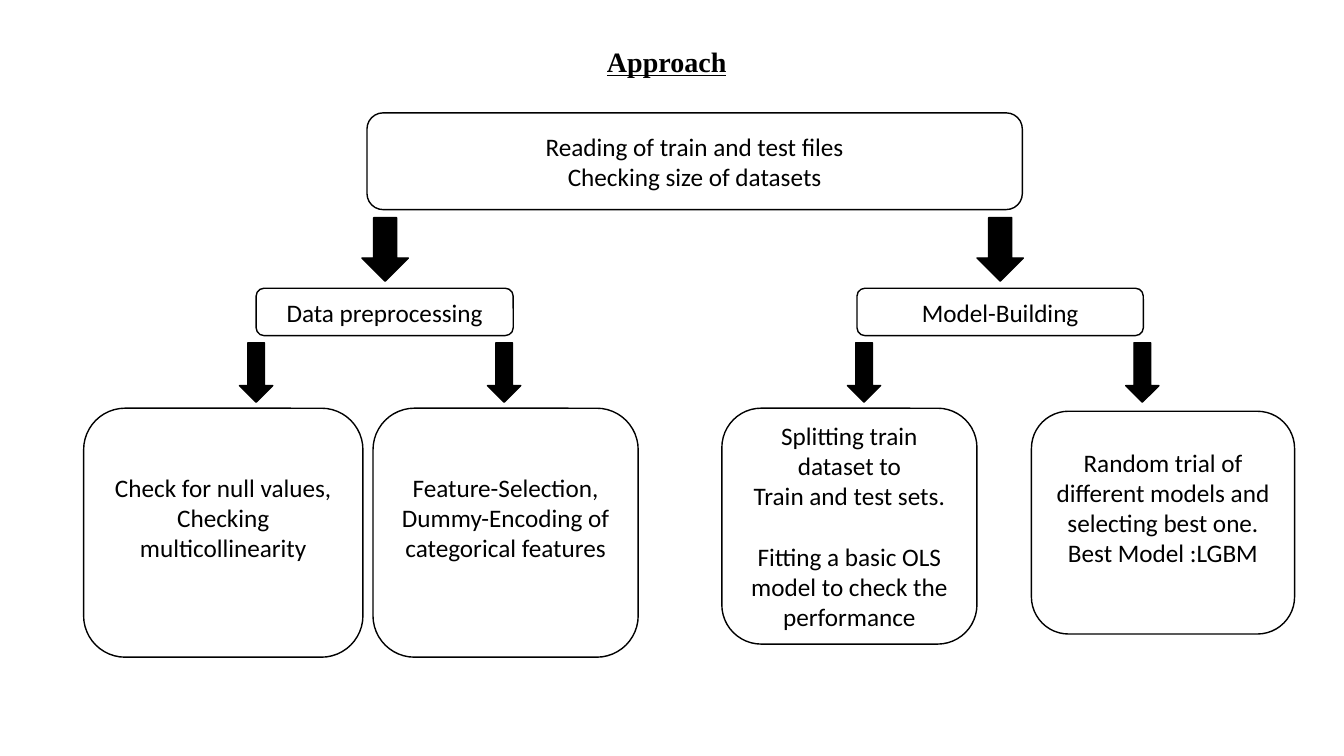
"""Build the Approach slide: a flow from reading files down to four tasks."""
from dataclasses import dataclass

from pptx import Presentation
from pptx.dml.color import RGBColor
from pptx.enum.shapes import MSO_SHAPE as SHAPE
from pptx.enum.text import MSO_ANCHOR as ANCHOR, PP_ALIGN as ALIGN
from pptx.util import Inches, Pt

BLACK, WHITE = "000000", "FFFFFF"
LINE_HEIGHT = 0.3


@dataclass
class Box:
    left: float
    top: float
    width: float
    height: float
    lines: tuple[str, ...]
    gap_before: int | None = None
    raised: bool = False


@dataclass
class Arrow:
    center: float
    top: float
    width: float
    height: float


BOXES = [
    Box(3.64, 1.12, 6.5, 0.96,
        ("Reading of train and test files", "Checking size of datasets")),
    Box(2.54, 2.86, 2.55, 0.47, ("Data preprocessing",)),
    Box(8.5, 2.86, 2.84, 0.47, ("Model-Building",)),
    Box(0.83, 4.05, 2.77, 2.47,
        ("Check for null values,", "Checking multicollinearity"), raised=True),
    Box(3.7, 4.05, 2.63, 2.47,
        ("Feature-Selection,", "Dummy-Encoding of categorical features"), raised=True),
    Box(7.16, 4.05, 2.53, 2.34,
        ("Splitting train dataset to", "Train and test sets.",
         "Fitting a basic OLS model to check the performance"), gap_before=2),
    Box(10.23, 4.08, 2.61, 2.21,
        ("Random trial of different models and selecting best one.",
         "Best Model :LGBM"), raised=True),
]
ARROWS = [Arrow(x, 2.16, 0.46, 0.63) for x in (3.82, 9.92)]
ARROWS += [Arrow(x, 3.4, 0.33, 0.59) for x in (2.54, 5.0, 8.57, 11.33)]


def color(value: str) -> RGBColor:
    return RGBColor.from_string(value)


def write(p, text: str, *, size: int = 18, font: str = "Calibri", bold: bool = False,
          underline: bool = False, align=ALIGN.CENTER, before: float = 0) -> None:
    p.alignment = align
    p.space_before = Pt(before)
    r = p.add_run()
    r.text = text
    r.font.name, r.font.size = font, Pt(size)
    r.font.bold, r.font.underline = bold, underline
    r.font.color.rgb = color(BLACK)


def add_outlined(s, kind, left: float, top: float, width: float, height: float, fill: str):
    sp = s.shapes.add_shape(kind, *map(Inches, (left, top, width, height)))
    sp.shadow.inherit = False
    sp.fill.solid()
    sp.fill.fore_color.rgb = color(fill)
    sp.line.color.rgb = color(BLACK)
    sp.line.width = Pt(1)
    return sp


def draw_box(s, box: Box) -> None:
    sp = add_outlined(s, SHAPE.ROUNDED_RECTANGLE, box.left, box.top,
                      box.width, box.height, WHITE)
    tf = sp.text_frame
    tf.word_wrap = True
    tf.vertical_anchor = ANCHOR.MIDDLE
    if box.raised:
        tf.margin_bottom = Inches(0.05 + LINE_HEIGHT)
    for i, line in enumerate(box.lines):
        p = tf.add_paragraph() if i else tf.paragraphs[0]
        write(p, line, before=LINE_HEIGHT * 72 if i == box.gap_before else 0)


def draw_arrow(s, arrow: Arrow) -> None:
    add_outlined(s, SHAPE.DOWN_ARROW, arrow.center - arrow.width / 2, arrow.top,
                 arrow.width, arrow.height, BLACK)


def draw_title(s, text: str) -> None:
    sp = s.shapes.title
    sp.left, sp.top, sp.width, sp.height = map(Inches, (5.92, 0.39, 7.4, 0.44))
    tf = sp.text_frame
    tf.word_wrap = True
    tf.vertical_anchor = ANCHOR.TOP
    write(tf.paragraphs[0], text, size=20, font="Times New Roman", bold=True,
          underline=True, align=ALIGN.LEFT)


def main() -> None:
    prs = Presentation()
    prs.slide_width, prs.slide_height = Inches(13.33), Inches(7.5)
    s = prs.slides.add_slide(prs.slide_layouts.get_by_name("Title Only"))
    draw_title(s, "Approach")
    for box in BOXES:
        draw_box(s, box)
    for arrow in ARROWS:
        draw_arrow(s, arrow)
    prs.save("out.pptx")


if __name__ == "__main__":
    main()
